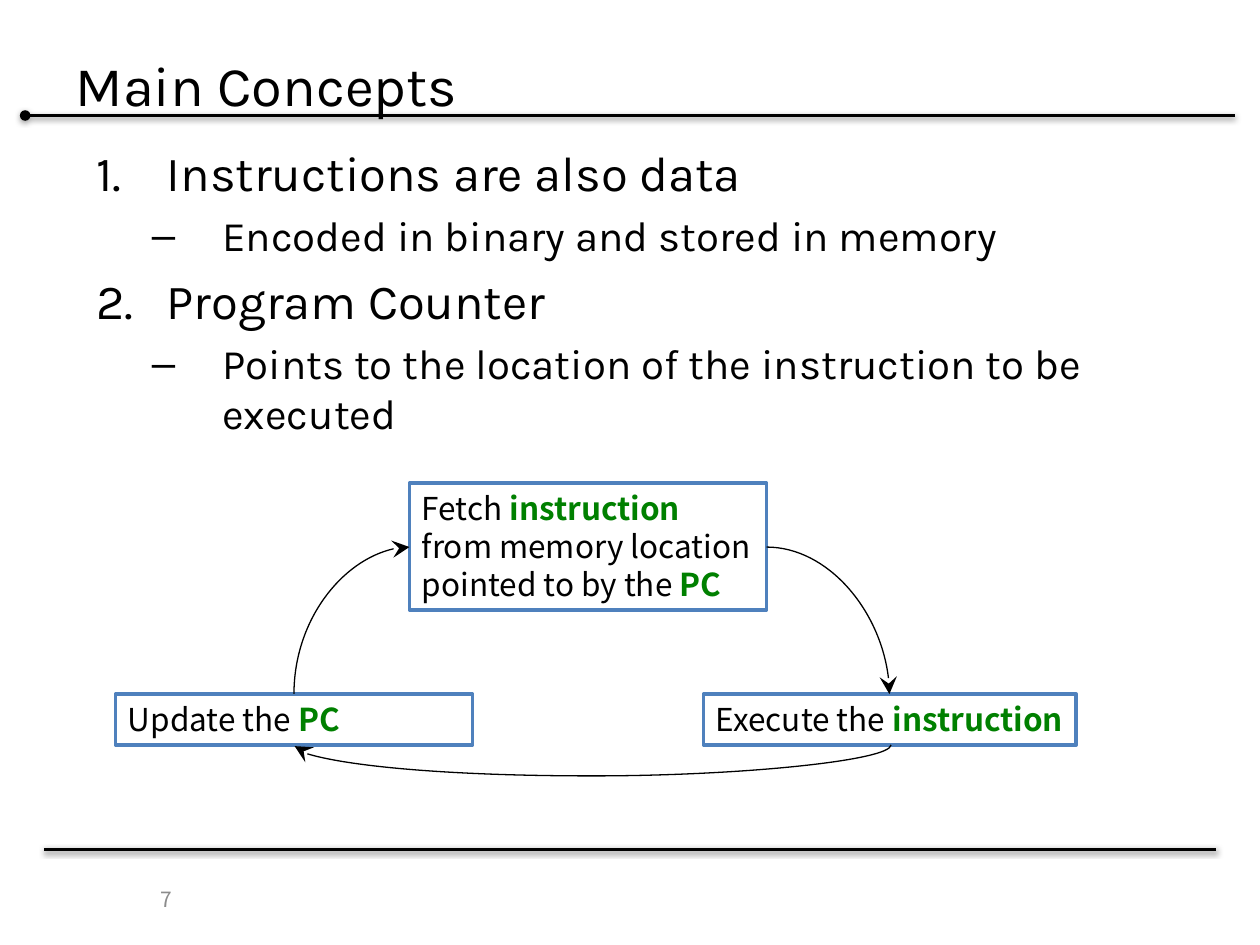
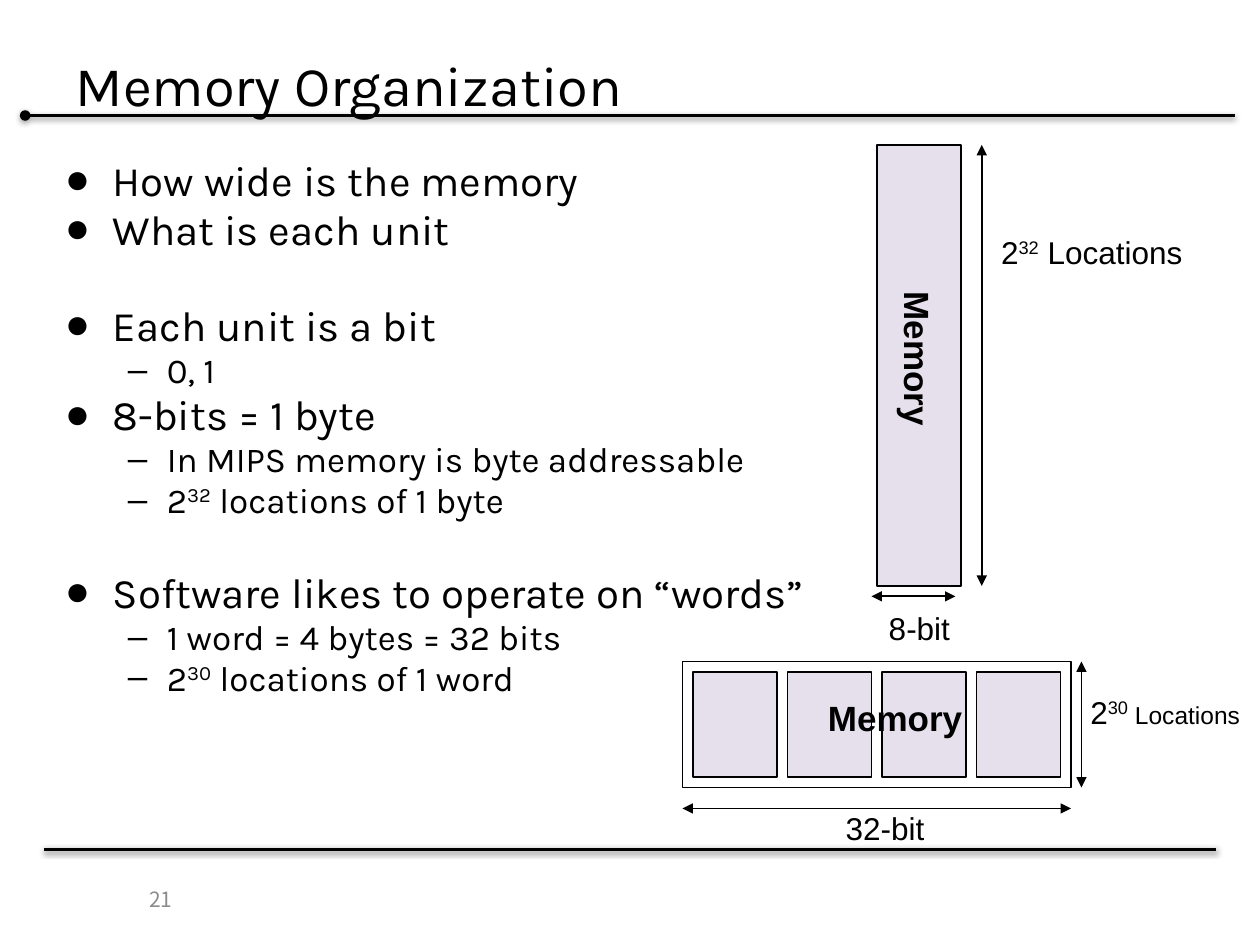
from lxml.etree import SubElement as Sub
from pptx import Presentation
from pptx.dml.color import RGBColor as RGB
from pptx.enum.shapes import MSO_CONNECTOR as Link, MSO_SHAPE as Form
from pptx.enum.text import MSO_ANCHOR as Anchor, MSO_AUTO_SIZE as Fit, PP_ALIGN as Align
from pptx.oxml.ns import qn
from pptx.util import Inches, Pt

BLACK = RGB(0, 0, 0)
WHITE = RGB(255, 255, 255)
BLUE = RGB(0x4F, 0x81, 0xBD)
GREEN = RGB(0, 0x80, 0)
LILAC = RGB(0xE6, 0xE0, 0xEC)
GRAY = RGB(0x8C, 0x8C, 0x8C)
KARLA, NOTO, ARIAL = "Karla", "Noto Sans CJK KR", "Arial"
COLS, ROWS = 120, 90


def grid(*spots):
    return [round(Inches(spot / 12)) for spot in spots]


def style(para, size, face, color=BLACK, bold=None):
    font = para.font
    font.size, font.name, font.bold = Pt(size), face, bold
    font.color.rgb = color


def green(run):
    run.font.bold = True
    run.font.color.rgb = GREEN


def power(run):
    run._r.get_or_add_rPr().set("baseline", "30000")


def write(para, text, mark):
    for i, part in enumerate(text.split("|")):
        if part:
            run = para.add_run()
            run.text = part
            if i % 2:
                mark(run)


def wire(slide, kind, ends, width, head=None, tail=None, tip="med"):
    line = slide.shapes.add_connector(kind, *grid(*ends))
    line.line.color.rgb = BLACK
    line.line.width = Pt(width)
    props = line._element.spPr
    edge = props.find(qn("a:ln"))
    for tag, form in (("a:headEnd", head), ("a:tailEnd", tail)):
        if form:
            Sub(edge, qn(tag), type=form, w=tip, len=tip)
    return props, Sub(props, qn("a:effectLst"))


def rule(slide, ends, head=None):
    _, glow = wire(slide, Link.STRAIGHT, ends, 2, head)
    shade = Sub(glow, qn("a:outerShdw"), blurRad=str(Pt(3.1)), dist=str(Pt(1)),
                dir="5400000", rotWithShape="0")
    Sub(Sub(shade, qn("a:srgbClr"), val="000000"), qn("a:alpha"), val="38000")


def span(slide, *ends):
    wire(slide, Link.STRAIGHT, ends, 1, "triangle", "triangle")


def curve(slide, left, top, wide, high, form="curvedConnector2", bend=None, **turn):
    ends = (left, top, left + wide, top + high)
    props, _ = wire(slide, Link.CURVE, ends, 0.75, tail="stealth", tip="lg")
    for name, value in turn.items():
        props.find(qn("a:xfrm")).set(name, value)
    shape = props.find(qn("a:prstGeom"))
    shape.set("prst", form)
    if bend:
        Sub(shape.find(qn("a:avLst")), qn("a:gd"), name="adj1", fmla=f"val {bend}")


def box(slide, spot, fill=None, edge=BLACK, width=1):
    rect = slide.shapes.add_shape(Form.RECTANGLE, *grid(*spot))
    rect.shadow.inherit = False
    if fill is None:
        rect.fill.background()
    else:
        rect.fill.solid()
        rect.fill.fore_color.rgb = fill
    rect.line.color.rgb = edge
    rect.line.width = Pt(width)
    return rect


def step(slide, spot, text):
    frame = box(slide, spot, WHITE, BLUE, 2).text_frame
    frame.vertical_anchor = Anchor.TOP
    frame.auto_size = Fit.SHAPE_TO_FIT_TEXT
    para = frame.paragraphs[0]
    para.alignment = Align.LEFT
    style(para, 18, NOTO)
    write(para, text, green)


def label(slide, spot, text, size=18, bold=None, turn=0):
    note = slide.shapes.add_textbox(*grid(*spot))
    note.rotation = turn
    frame = note.text_frame
    frame.word_wrap = False
    frame.auto_size = Fit.SHAPE_TO_FIT_TEXT
    frame.margin_left = frame.margin_right = Inches(0.07)
    frame.margin_top = frame.margin_bottom = Inches(0.03)
    para = frame.paragraphs[0]
    style(para, size, ARIAL, bold=bold)
    write(para, text, power)
    return para


def bullet(para, sign, left, hang):
    props = para._p.get_or_add_pPr()
    props.set("marL", str(Inches(left)))
    props.set("indent", str(-Inches(hang)))
    if sign == "1.":
        Sub(props, qn("a:buFont"), typeface="+mj-lt")
        Sub(props, qn("a:buAutoNum"), type="arabicPeriod")
    else:
        Sub(props, qn("a:buFont"), typeface=ARIAL)
        Sub(props, qn("a:buChar"), char=sign)


def outline(slide, spot, items, looks, pitch=None):
    frame = slide.shapes.add_textbox(*grid(*spot)).text_frame
    frame.word_wrap = True
    for i, (level, text, *gap) in enumerate(items):
        para = frame.add_paragraph() if i else frame.paragraphs[0]
        sign, left, hang, size = looks[level]
        para.level = level
        bullet(para, sign, left, hang)
        if i:
            para.space_before = Pt(gap[0] if gap else size / 5)
        if pitch:
            para.line_spacing = pitch
        style(para, size, KARLA)
        write(para, text, power)


def begin(deck, name, number):
    slide = deck.slides.add_slide(deck.slide_layouts[5])
    rule(slide, (2.4, 11, COLS - 2.4, 11), "oval")
    rule(slide, (COLS - 4.2, 80.9, 4.2, 80.9))
    title = slide.shapes.title
    title.left, title.top, title.width, title.height = grid(6, 4.35, 108, 7.4)
    title.text_frame.text = name
    title.text_frame.vertical_anchor = Anchor.MIDDLE
    para = title.text_frame.paragraphs[0]
    para.alignment = Align.LEFT
    style(para, 32, KARLA)
    frame = slide.shapes.add_textbox(*grid(11.8, 83.2, 5.8, 4.8)).text_frame
    frame.word_wrap = True
    frame.vertical_anchor = Anchor.MIDDLE
    frame.text = number
    frame.paragraphs[0].alignment = Align.RIGHT
    style(frame.paragraphs[0], 12, NOTO, GRAY)
    return slide


def concepts(deck):
    slide = begin(deck, "Main Concepts", "7")
    outline(slide, (8, 13, 102, 30), [
        (0, "Instructions are also data"),
        (1, "Encoded in binary and stored in memory"),
        (0, "Program Counter"),
        (1, "Points to the location of the instruction to be executed"),
    ], [("1.", 0.56, 0.56, 28), ("–", 1, 0.56, 24)])
    step(slide, (39, 46, 34, 12.1),
         "Fetch |instruction| from memory location pointed to by the |PC|")
    step(slide, (67, 66.1, 35.5, 4.85), "Execute the |instruction|")
    step(slide, (11, 66.1, 34, 4.85), "Update the |PC|")
    curve(slide, 73, 52.1, 11.7, 14)
    curve(slide, 56.4, 42.6, 0.12, 56.8, "curvedConnector3", 2500000, rot="5400000")
    curve(slide, 26.5, 53.6, 14, 11, rot="5400000", flipH="1", flipV="1")


def memory(deck):
    slide = begin(deck, "Memory Organization", "21")
    outline(slide, (5, 15.05, 73, 59.4), [
        (0, "How wide is the memory"),
        (0, "What is each unit"),
        (0, "Each unit is a bit", 32),
        (1, "0, 1"),
        (0, "8-bits = 1 byte"),
        (1, "In MIPS memory is byte addressable"),
        (1, "2|32| locations of 1 byte"),
        (0, "Software likes to operate on “words”", 32),
        (1, "1 word = 4 bytes = 32 bits"),
        (1, "2|30| locations of 1 word"),
    ], [("●", 0.38, 0.38, 24), ("–", 0.81, 0.31, 20)], 0.8)
    box(slide, (83.5, 13.8, 8, 42), LILAC)
    label(slide, (80.2, 31.8, 14.5, 4.7), "Memory", 20, True, 90)
    for i in range(4):
        box(slide, (66 + 9 * i, 64, 8, 10), LILAC)
    box(slide, (65, 63, 37, 12))
    label(slide, (78, 66, 14.5, 4.7), "Memory", 20, True)
    span(slide, 93.5, 13.8, 93.5, 55.8)
    label(slide, (94.5, 21.8, 19.2, 4.3), "2|32| Locations")
    span(slide, 83, 56.8, 91, 56.8)
    label(slide, (83.8, 57.6, 8, 4.3), "8-bit")
    span(slide, 103, 63, 103, 75)
    words = label(slide, (103, 65.6, 16.8, 4.3), "2|30| Locations")
    words.runs[2].font.size = Pt(14)
    span(slide, 65, 77, 102, 77)
    label(slide, (79.7, 76.7, 9.8, 4.3), "32-bit")


def main():
    deck = Presentation()
    deck.slide_width, deck.slide_height = grid(COLS, ROWS)
    concepts(deck)
    memory(deck)
    deck.save("out.pptx")


if __name__ == "__main__":
    main()
